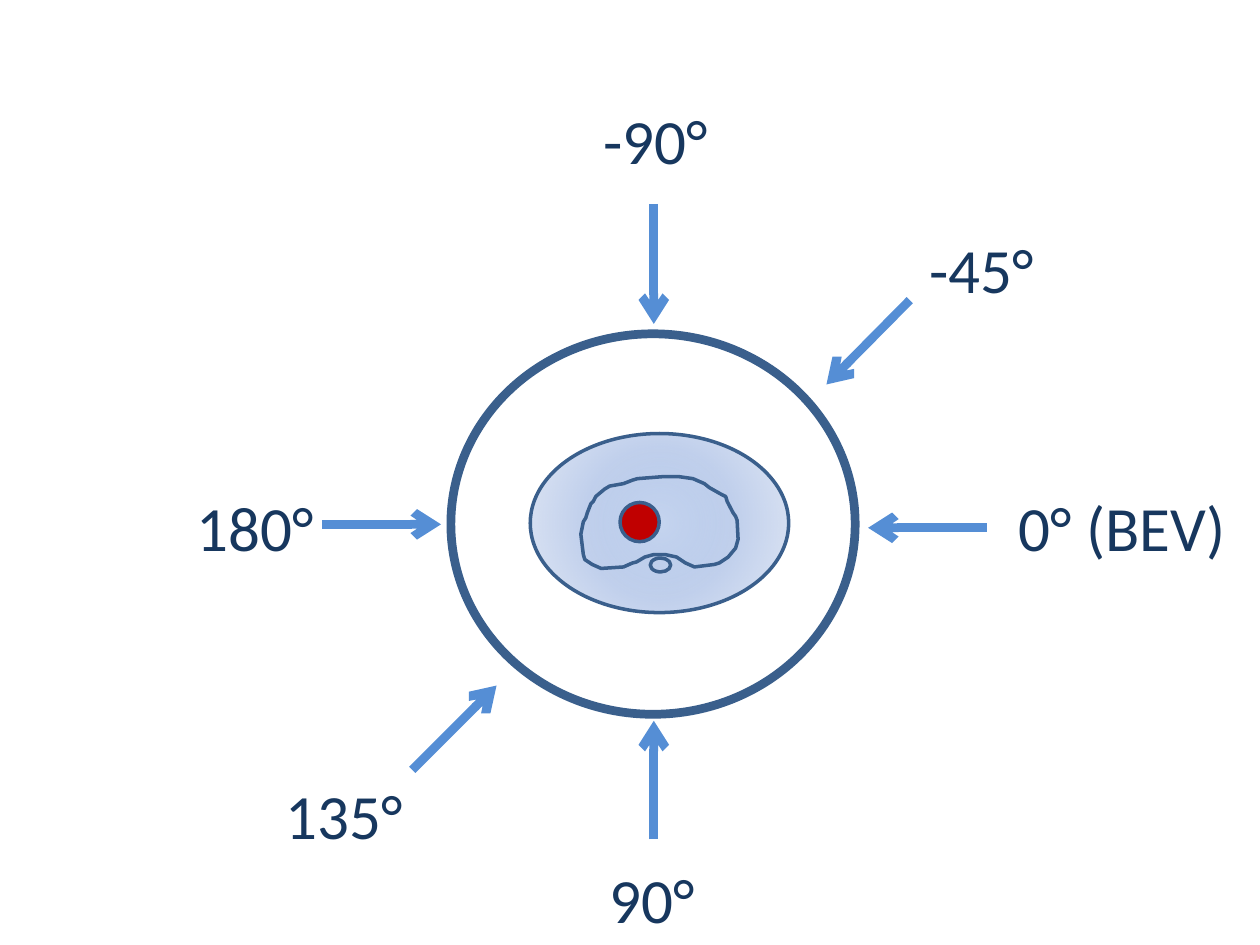
from dataclasses import dataclass
from typing import Optional

from lxml import etree
from pptx import Presentation
from pptx.dml.color import RGBColor
from pptx.enum.shapes import MSO_CONNECTOR, MSO_SHAPE
from pptx.enum.text import MSO_AUTO_SIZE
from pptx.oxml import parse_xml
from pptx.oxml.ns import nsdecls, qn
from pptx.util import Cm, Pt

ELLIPSE = MSO_SHAPE.OVAL
STRAIGHT = MSO_CONNECTOR.STRAIGHT
FIT_TEXT = MSO_AUTO_SIZE.SHAPE_TO_FIT_TEXT

OUTLINE = "3A5F8C"
BEAM = "558ED5"
LABEL = "17375E"
TUMOUR = "C00000"
LABEL_HEIGHT = 1.8

BODY_GRADIENT = f"""
<a:gradFill {nsdecls("a")} rotWithShape="1">
  <a:gsLst>
    <a:gs pos="0"><a:srgbClr val="9AB5E4"><a:alpha val="56000"/></a:srgbClr></a:gs>
    <a:gs pos="50000"><a:srgbClr val="C2D1ED"/></a:gs>
    <a:gs pos="100000"><a:srgbClr val="E1E8F5"/></a:gs>
  </a:gsLst>
  <a:path path="circle">
    <a:fillToRect l="50000" t="50000" r="50000" b="50000"/>
  </a:path>
</a:gradFill>"""


@dataclass(frozen=True)
class Organ:
    left: float
    top: float
    width: float
    height: float
    line_width: float = 2
    fill: Optional[str] = None


@dataclass(frozen=True)
class Beam:
    angle: str
    start: tuple[float, float]
    end: tuple[float, float]
    label_at: tuple[float, float]
    label_width: float
    wrap: bool = False


GANTRY = Organ(9.09, 6.73, 8.15, 7.67, line_width=5)
BODY = Organ(10.69, 8.74, 5.21, 3.61)
SPINE = Organ(13.11, 11.25, 0.41, 0.28)
LESION = Organ(12.5, 10.13, 0.79, 0.79, fill=TUMOUR)

LUNG_SCALE = Cm(0.01)
LUNG_OUTLINE = [
    (1420, 975), (1397, 965), (1369, 961), (1336, 961), (1285, 965), (1275, 968),
    (1257, 975), (1229, 980), (1219, 986), (1201, 1001), (1196, 1011), (1191, 1016),
    (1184, 1034), (1181, 1044), (1176, 1052), (1171, 1077), (1176, 1118),
    (1179, 1128), (1194, 1138), (1212, 1146), (1257, 1143), (1275, 1135),
    (1283, 1133), (1300, 1123), (1318, 1118), (1341, 1118), (1364, 1123),
    (1382, 1135), (1400, 1143), (1440, 1138), (1450, 1135), (1468, 1123),
    (1483, 1105), (1488, 1087), (1486, 1049), (1483, 1041), (1478, 1034),
    (1466, 1011), (1463, 1001), (1453, 996), (1430, 983),
]

BEAMS = [
    Beam("-90°", (13.18, 4.11), (13.18, 6.53), (11.91, 1.93), 2.64),
    Beam("-45°", (18.34, 6.05), (16.66, 7.75), (18.49, 4.52), 2.64),
    Beam("0° (BEV)", (19.89, 10.64), (17.5, 10.64), (20.29, 9.73), 4.8, wrap=True),
    Beam("90°", (13.18, 16.92), (13.18, 14.53), (12.04, 17.22), 2.26),
    Beam("135°", (8.31, 15.52), (10.01, 13.82), (5.51, 15.52), 2.9),
    Beam("180°", (6.5, 10.57), (8.89, 10.57), (3.71, 9.73), 2.9),
]


def paint(color_format, hex_color: str) -> None:
    color_format.rgb = RGBColor.from_string(hex_color)


def style_outline(shape, line_width: float) -> None:
    shape.shadow.inherit = False
    shape.fill.background()
    paint(shape.line.color, OUTLINE)
    shape.line.width = Pt(line_width)


def draw_organ(slide, organ: Organ):
    ellipse = slide.shapes.add_shape(
        ELLIPSE, Cm(organ.left), Cm(organ.top), Cm(organ.width), Cm(organ.height)
    )
    style_outline(ellipse, organ.line_width)
    if organ.fill:
        ellipse.fill.solid()
        paint(ellipse.fill.fore_color, organ.fill)
    return ellipse


def draw_body(slide) -> None:
    properties = draw_organ(slide, BODY)._element.spPr
    properties.replace(properties.find(qn("a:noFill")), parse_xml(BODY_GRADIENT))


def draw_lungs(slide) -> None:
    builder = slide.shapes.build_freeform(*LUNG_OUTLINE[0], scale=LUNG_SCALE)
    builder.add_line_segments(LUNG_OUTLINE[1:], close=True)
    style_outline(builder.convert_to_shape(), 2)


def draw_arrow(slide, beam: Beam) -> None:
    arrow = slide.shapes.add_connector(
        STRAIGHT, *(Cm(value) for value in beam.start + beam.end)
    )
    paint(arrow.line.color, BEAM)
    arrow.line.width = Pt(5)
    etree.SubElement(arrow.line._get_or_add_ln(), qn("a:tailEnd"), type="arrow")
    etree.SubElement(arrow._element.spPr, qn("a:effectLst"))


def draw_label(slide, beam: Beam) -> None:
    left, top = beam.label_at
    label = slide.shapes.add_textbox(
        Cm(left), Cm(top), Cm(beam.label_width), Cm(LABEL_HEIGHT)
    )
    label.text_frame.word_wrap = beam.wrap
    label.text_frame.auto_size = FIT_TEXT
    paragraph = label.text_frame.paragraphs[0]
    paragraph.text = beam.angle
    paragraph.font.name = "Calibri"
    paragraph.font.size = Pt(36)
    paint(paragraph.font.color, LABEL)


def main() -> None:
    presentation = Presentation()
    presentation.slide_width = Cm(25.4)
    presentation.slide_height = Cm(19.05)
    slide = presentation.slides.add_slide(presentation.slide_layouts[6])

    draw_organ(slide, GANTRY)
    draw_body(slide)
    draw_lungs(slide)
    draw_organ(slide, SPINE)
    draw_organ(slide, LESION)
    for beam in BEAMS:
        draw_arrow(slide, beam)
        draw_label(slide, beam)

    presentation.save("out.pptx")


if __name__ == "__main__":
    main()
